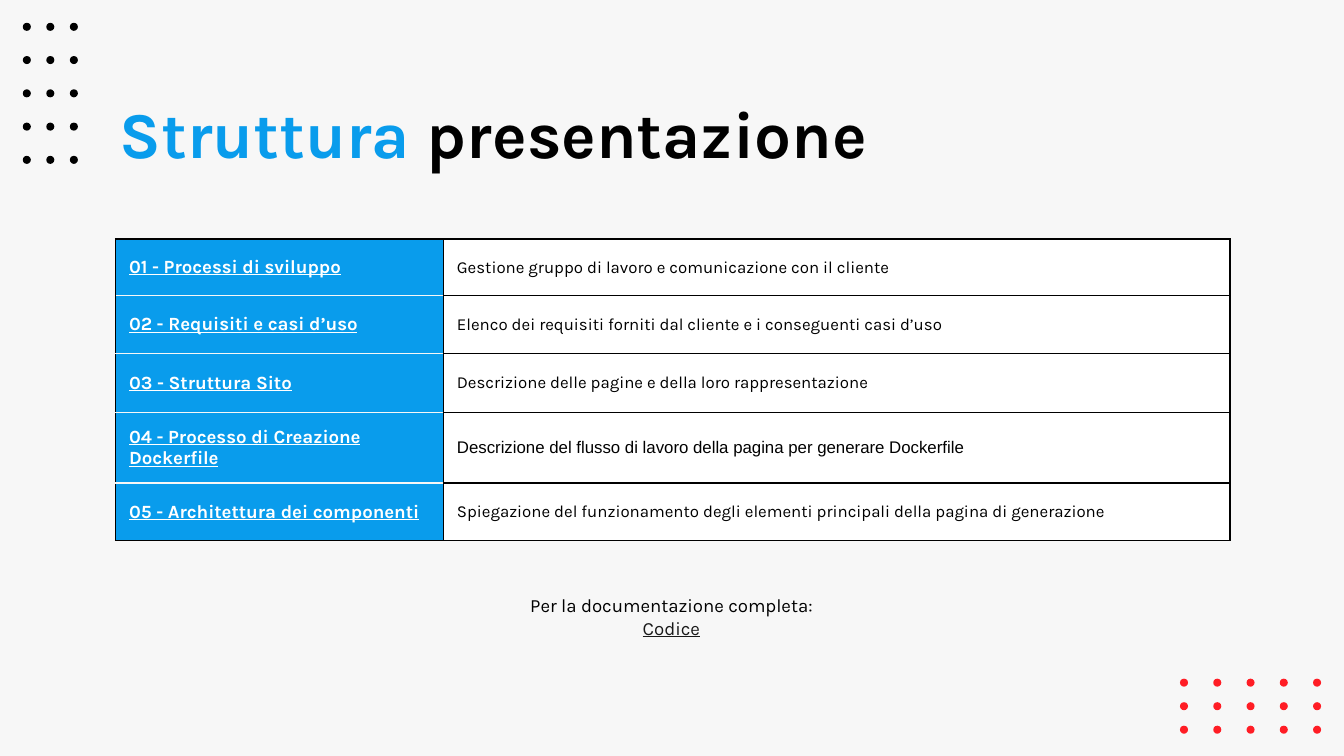
from lxml import etree
from pptx import Presentation, util as u
from pptx.dml.color import RGBColor
from pptx.enum import shapes, text
from pptx.oxml.ns import qn

BLACK = RGBColor(0x00, 0x00, 0x00)
WHITE = RGBColor(0xFF, 0xFF, 0xFF)
BLUE = RGBColor(0x09, 0x9C, 0xEC)
RED = RGBColor(0xFF, 0x1D, 0x25)
PALE = RGBColor(0xF7, 0xF7, 0xF7)
CHARCOAL = RGBColor(0x19, 0x19, 0x19)
FONT = "Karla"
COLUMNS, ROWS = 100, 56.25
UNIT = u.Inches(10) // COLUMNS
DOT = 0.6

SECTIONS = [
    ("01 - Processi di sviluppo", "Gestione gruppo di lavoro e comunicazione con il cliente", FONT, 4.2),
    ("02 - Requisiti e casi d’uso", "Elenco dei requisiti forniti dal cliente e i conseguenti casi d’uso", FONT, 4.3),
    ("03 - Struttura Sito", "Descrizione delle pagine e della loro rappresentazione", FONT, 4.4),
    ("04 - Processo di Creazione Dockerfile",
     "Descrizione del flusso di lavoro della pagina per generare Dockerfile", "Arial", 5.2),
    ("05 - Architettura dei componenti",
     "Spiegazione del funzionamento degli elementi principali della pagina di generazione", FONT, 4.3),
]


def grid(*lengths):
    """Turn grid columns or rows into slide lengths."""
    return [u.Emu(round(length * UNIT)) for length in lengths]


def format_run(run, size, color, bold=False, underline=False, font=FONT):
    """Give a run its typeface, size, colour and emphasis."""
    run.font.name, run.font.size = font, u.Pt(size)
    run.font.bold, run.font.underline = bold, underline
    run.font.color.rgb = color


def set_margins(holder):
    """Give a text frame or table cell equal inner margins."""
    holder.margin_left = holder.margin_right = grid(1)[0]
    holder.margin_top = holder.margin_bottom = grid(1)[0]


def add_dots(slide, box, across, down, color):
    """Spread a lattice of dots evenly over a box."""
    left, top, width, height = box
    step_x = (width - DOT) / (across - 1)
    step_y = (height - DOT) / (down - 1)
    for index in range(across * down):
        row, column = divmod(index, across)
        place = grid(left + column * step_x, top + row * step_y, DOT, DOT)
        dot = slide.shapes.add_shape(shapes.MSO_SHAPE.OVAL, *place)
        dot.shadow.inherit = False
        dot.fill.solid()
        dot.fill.fore_color.rgb = color
        dot.line.fill.background()


def add_title(slide, box):
    """Place the two-colour heading in the title placeholder."""
    title = slide.shapes.title
    title.left, title.top, title.width, title.height = grid(*box)
    frame = title.text_frame
    set_margins(frame)
    frame.word_wrap = True
    frame.auto_size = text.MSO_AUTO_SIZE.NONE
    frame.vertical_anchor = text.MSO_ANCHOR.TOP
    heading = frame.paragraphs[0]
    heading.alignment = text.PP_ALIGN.LEFT
    for words, color in (("Struttura ", BLUE), ("presentazione", BLACK)):
        run = heading.add_run()
        run.text = words
        format_run(run, 35, color, bold=True)


def set_borders(cell, borders):
    """Draw the left, right, top and bottom borders of a cell."""
    properties = cell._tc.get_or_add_tcPr()
    for side, (color, points) in zip("LRTB", borders):
        border = etree.SubElement(properties, qn(f"a:ln{side}"), w=str(u.Pt(points)))
        fill = etree.SubElement(border, qn("a:solidFill"))
        etree.SubElement(fill, qn("a:srgbClr"), val=str(color))


def add_sections(slide, box):
    """Build the table of numbered sections and their descriptions."""
    table = slide.shapes.add_table(len(SECTIONS), 2, *grid(*box)).table
    table.first_row = table.horz_banding = False
    table.columns[0].width, table.columns[1].width = grid(24.4, box[2] - 24.4)
    edge = (BLACK, 1)
    for index, (name, description, font, height) in enumerate(SECTIONS):
        table.rows[index].height = grid(height)[0]
        for column, words in enumerate((name, description)):
            is_name = column == 0
            inner = (PALE if is_name else BLACK, 0.75)
            upper = edge if index == 0 else inner
            lower = edge if index == len(SECTIONS) - 1 else inner
            cell = table.cell(index, column)
            set_borders(cell, (edge, edge, upper, lower))
            cell.fill.solid()
            cell.fill.fore_color.rgb = BLUE if is_name else WHITE
            cell.vertical_anchor = text.MSO_ANCHOR.MIDDLE
            set_margins(cell)
            cell.text_frame.text = words
            run = cell.text_frame.paragraphs[0].runs[0]
            if is_name:
                format_run(run, 10, WHITE, bold=True, underline=True)
            else:
                format_run(run, 9, BLACK, font=font)


def add_documentation(slide, box):
    """Place the centred pointer to the full documentation."""
    frame = slide.shapes.add_textbox(*grid(*box)).text_frame
    frame.word_wrap = True
    set_margins(frame)
    frame.text = "Per la documentazione completa:\vCodice"
    pointer = frame.paragraphs[0]
    pointer.alignment = text.PP_ALIGN.CENTER
    label, link = pointer.runs
    format_run(label, 10, BLACK)
    format_run(link, 10, CHARCOAL, underline=True)


def add_rule(slide, box, color):
    """Draw a thin straight rule along a box of no width or no height."""
    left, top, width, height = box
    rule = slide.shapes.add_connector(
        shapes.MSO_CONNECTOR.STRAIGHT, *grid(left, top, left + width, top + height))
    rule.line.color.rgb = color
    rule.line.width = u.Pt(0.75)
    etree.SubElement(rule._element.spPr, qn("a:effectLst"))


def main():
    """Build and save the presentation outline slide."""
    deck = Presentation()
    deck.slide_width, deck.slide_height = grid(COLUMNS, ROWS)
    slide = deck.slides.add_slide(deck.slide_layouts[5])
    slide.background.fill.solid()
    slide.background.fill.fore_color.rgb = PALE
    add_dots(slide, (1.7, 1.7, 4.1, 10.5), 3, 5, BLACK)
    add_dots(slide, (87.8, 50.5, 10.5, 4.1), 5, 3, RED)
    add_title(slide, (7.9, 5.9, 84.3, 6.3))
    add_sections(slide, (8.6, 17.8, 82.9, 22.4))
    add_documentation(slide, (37.5, 43.2, 24.9, 4.2))
    add_rule(slide, (8.6, 22, 24.3, 0), PALE)
    add_rule(slide, (8.6, 20.8, 0, 2.9), BLACK)
    deck.save("out.pptx")


if __name__ == "__main__":
    main()
